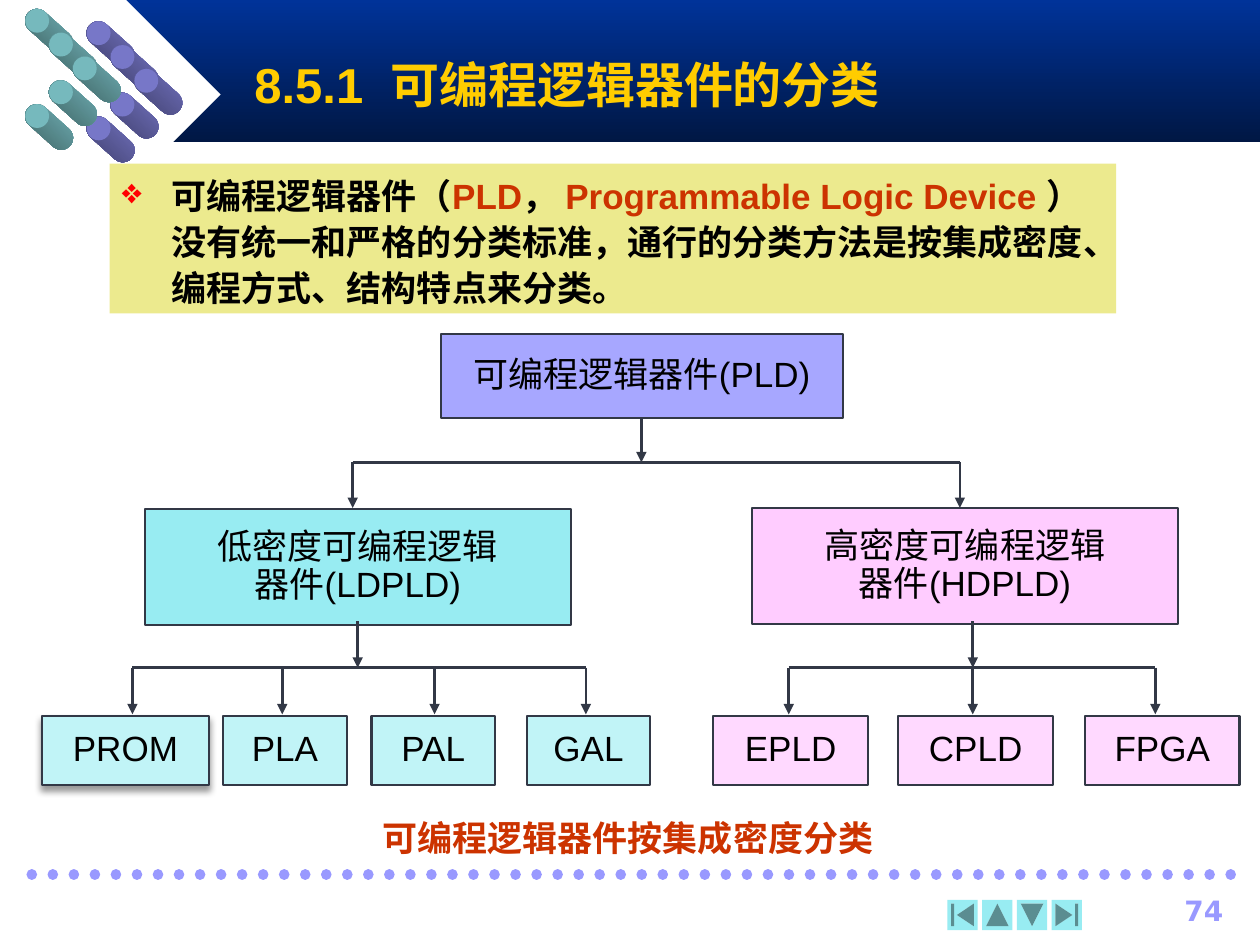
import pptx
import pptx.util
import pptx.dml.color
import pptx.enum.dml
import pptx.enum.shapes
import pptx.enum.text
import pptx.oxml
import pptx.oxml.ns
from lxml import etree

Cm, Pt = pptx.util.Cm, pptx.util.Pt
Shape = pptx.enum.shapes.MSO_SHAPE
Align = pptx.enum.text.PP_ALIGN
Anchor = pptx.enum.text.MSO_ANCHOR
qn = pptx.oxml.ns.qn

INK, RED, AQUA, VIOLET = "323846", "CC3300", "98ECF2", "9999FF"
CJK = "Noto Sans CJK SC"

TITLE = "8.5.1  可编程逻辑器件的分类"
CAPTION = "可编程逻辑器件按集成密度分类"
BODY = [
    ("可编程逻辑器件（", "000000"),
    ("PLD", RED),
    ("，", "000000"),
    (" Programmable Logic Device ", RED),
    ("）没有统一和严格的分类标准，通行的分类方法是按集成密度、编程方式、结构特点来分类。", "000000"),
]

# Boxes: lines of text, (left, top, width, height) in cm, fill
LOW, HIGH = "C1F4F7", "FFD9FF"
LEAF_TOP, LEAF_HIGH = 14.43, 1.4
BOXES = [
    (["低密度可编程逻辑", "器件(LDPLD)"], (2.92, 10.26, 8.59, 2.34), AQUA),
    (["高密度可编程逻辑", "器件(HDPLD)"], (15.16, 10.24, 8.59, 2.34), "FFCCFF"),
    (["可编程逻辑器件(PLD)"], (8.89, 6.73, 8.1, 1.7), "A7A7FF"),
]
LEAVES = [
    ("PROM", 0.84, 3.38, LOW), ("PLA", 4.5, 2.49, LOW),
    ("PAL", 7.49, 2.49, LOW), ("GAL", 10.62, 2.49, LOW),
    ("EPLD", 14.38, 3.12, HIGH), ("CPLD", 18.11, 3.12, HIGH),
    ("FPGA", 21.87, 3.12, HIGH),
]
BOXES += [([name], (x, LEAF_TOP, w, LEAF_HIGH), fill) for name, x, w, fill in LEAVES]

# Trees: stem x, stem top, bus y, drop end, x of each drop
TREES = [
    (12.93, 8.41, 9.32, 10.24, [7.11, 19.35]),
    (7.21, 12.52, 13.46, 14.4, [2.67, 5.69, 8.76, 11.81]),
    (19.61, 12.52, 13.46, 14.4, [15.9, 19.61, 23.29]),
]

# Rods: first left, first top, face colour, dark side
RODS = [(1.75, 0.43, "7777C8", "3C3C66"), (0.51, 0.18, "76B9BD", "3A5C5E")]
STEPS = [(0, 0), (1, 1), (2, 2), (1, 3), (0, 4)]
ROD = 0.48

BUTTONS = [
    (Shape.ACTION_BUTTON_BEGINNING, 0),
    (Shape.ACTION_BUTTON_BACK_OR_PREVIOUS, 90),
    (Shape.ACTION_BUTTON_FORWARD_OR_NEXT, 90),
    (Shape.ACTION_BUTTON_END, 0),
]

deck = pptx.Presentation()
deck.slide_width, deck.slide_height = Cm(25.4), Cm(19.05)
slide = deck.slides.add_slide(deck.slide_layouts[6])


def tint(code):
    return pptx.dml.color.RGBColor.from_string(code)


def shape(kind, place, fill, edge=None, turn=0):
    """Add a preset shape; a pair of fills makes a gradient from top to bottom."""
    item = slide.shapes.add_shape(kind, *map(Cm, place))
    item.shadow.inherit = False
    item.rotation = turn
    if isinstance(fill, tuple):
        item.fill.gradient()
        item.fill.gradient_angle = 270
        for stop, code in zip(item.fill.gradient_stops, fill):
            stop.color.rgb = tint(code)
    else:
        item.fill.solid()
        item.fill.fore_color.rgb = tint(fill)
    if edge:
        item.line.color.rgb = tint(edge)
        item.line.width = Pt(1.25)
    else:
        item.line.fill.background()
    return item


def label(place):
    return slide.shapes.add_textbox(*map(Cm, place))


def write(item, lines, size=20, font="Arial", color="000000", bold=False,
          align=Align.CENTER, anchor=Anchor.MIDDLE, space=0.9, mark=None):
    """Fill an item with lines; a line is a string or a list of (text, colour)."""
    frame = item.text_frame
    frame.word_wrap = True
    frame.vertical_anchor = anchor
    for i, line in enumerate(lines):
        para = frame.add_paragraph() if i else frame.paragraphs[0]
        para.alignment = align
        para.line_spacing = space
        if mark:
            props = para._p.get_or_add_pPr()
            props.set("marL", str(Cm(1)))
            props.set("indent", str(-Cm(1)))
            hue = etree.SubElement(props, qn("a:buClr"))
            etree.SubElement(hue, qn("a:srgbClr"), val=mark[1])
            etree.SubElement(props, qn("a:buChar"), char=mark[0])
        for text, code in [(line, color)] if isinstance(line, str) else line:
            run = para.add_run()
            run.text = text
            run.font.size, run.font.bold, run.font.name = Pt(size), bold, font
            run.font.color.rgb = tint(code)
            etree.SubElement(run._r.get_or_add_rPr(), qn("a:ea"), typeface=CJK)


def line(start, end, color=INK, width=1.5, arrow=False, dots=False):
    ends = map(Cm, (*start, *end))
    item = slide.shapes.add_connector(pptx.enum.shapes.MSO_CONNECTOR.STRAIGHT, *ends)
    item.line.color.rgb = tint(color)
    item.line.width = Pt(width)
    props = item._element.spPr
    stroke = props.find(qn("a:ln"))
    if dots:
        item.line.dash_style = pptx.enum.dml.MSO_LINE.ROUND_DOT
        stroke.set("cap", "rnd")
    if arrow:
        etree.SubElement(stroke, qn("a:tailEnd"), type="triangle", w="med", len="med")
    etree.SubElement(props, qn("a:effectLst"))


def shade(item):
    """Put a soft shadow below an item."""
    cast = etree.SubElement(
        item._element.spPr.find(qn("a:effectLst")), qn("a:outerShdw"),
        blurRad=str(Pt(4)), dist=str(Pt(3)), dir="5400000", rotWithShape="0")
    hue = etree.SubElement(cast, qn("a:srgbClr"), val="000000")
    etree.SubElement(hue, qn("a:alpha"), val="40000")


# Header, rods and footer
shape(Shape.RECTANGLE, (2.54, 0, 22.86, 2.86), ("003399", "001744"))
shape(Shape.DIAMOND, (0.64, 0, 3.81, 3.81), "FFFFFF")
for left, top, face, dark in RODS:
    for col, row in STEPS:
        x, y = left + col * ROD, top + row * ROD
        long = 1.14
        body = (x + 0.24 + (ROD - long) / 2, y + 0.22, long, ROD)
        rod = shape(Shape.ROUNDED_RECTANGLE, body, (face, dark), turn=42)
        rod.adjustments[0] = 0.5
        shape(Shape.OVAL, (x, y, ROD, ROD), face)
line((0.64, 17.63), (24.97, 17.63), VIOLET, 6, dots=True)
for i, (kind, turn) in enumerate(BUTTONS):
    shape(kind, (19.1 + 0.7 * i, 18.14, 0.61, 0.61), AQUA, turn=turn)
write(label((22.5, 17.93, 2.41, 0.84)), ["74"], size=16, font="DejaVu Sans",
      color=VIOLET, bold=True, align=Align.RIGHT, space=1)
write(label((4.88, 0.84, 19.05, 1.7)), [TITLE], size=28, color="FFCC00",
      bold=True, align=Align.LEFT, space=1)

# Chart of classes
for lines, place, fill in BOXES:
    box = shape(Shape.RECTANGLE, place, fill, INK)
    write(box, lines)
    if lines == ["PROM"]:
        shade(box)
for stem, top, bus, end, drops in TREES:
    line((stem, top), (stem, bus), arrow=True)
    line((drops[0], bus), (drops[-1], bus))
    for x in drops:
        line((x, bus), (x, end), arrow=True)

write(label((6.73, 16.13, 11.86, 1.6)), [CAPTION], font=CJK, color=RED, bold=True)
write(shape(Shape.RECTANGLE, (2.21, 3.3, 20.29, 3.02), "ECEA8E"), [BODY],
      bold=True, align=Align.LEFT, anchor=Anchor.TOP, space=1.1, mark=("❖", "FF0000"))

deck.save("out.pptx")
